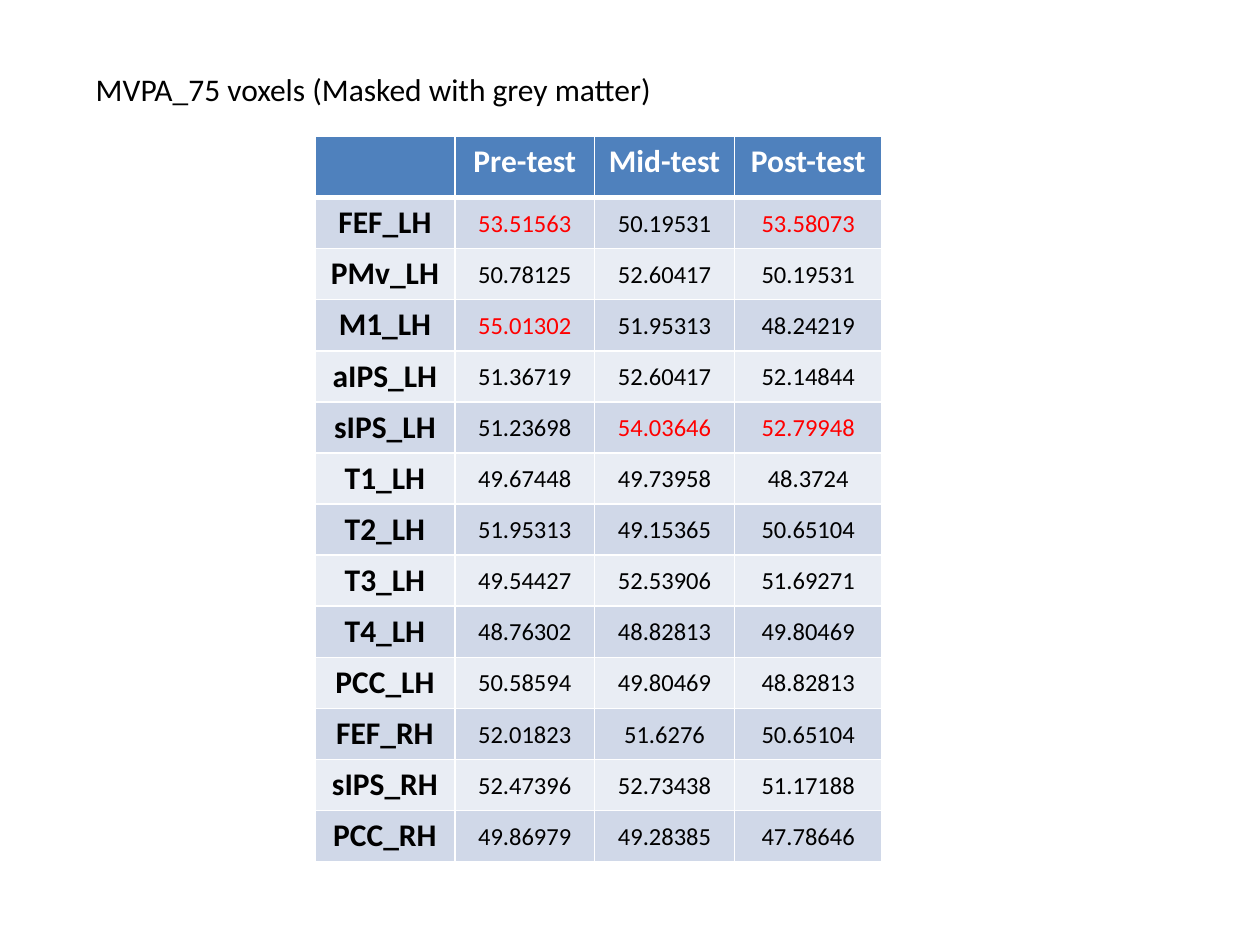
from dataclasses import dataclass

from lxml.etree import SubElement
from pptx import Presentation
from pptx.dml.color import RGBColor
from pptx.enum.text import MSO_ANCHOR as Anchor, PP_ALIGN as Align
from pptx.oxml.ns import qn
from pptx.util import Inches, Pt

WHITE = RGBColor(0xFF, 0xFF, 0xFF)
BLACK = RGBColor(0, 0, 0)
RED = RGBColor(0xFF, 0, 0)
BLUE = RGBColor(0x4F, 0x81, 0xBD)
DARK = RGBColor(0xD0, 0xD8, 0xE8)
LIGHT = RGBColor(0xE9, 0xED, 0xF4)

FONT = "Calibri"
WIDE, HIGH = Inches(10), Inches(7.5)
HIT = 52.75


@dataclass
class Box:
    left: float
    top: float
    width: float
    height: float

    def place(self) -> tuple[int, int, int, int]:
        return (int(self.left * WIDE), int(self.top * HIGH),
                int(self.width * WIDE), int(self.height * HIGH))


@dataclass
class Look:
    size: int
    color: RGBColor
    bold: bool = False


@dataclass
class Region:
    name: str
    scores: tuple[float, float, float]


TITLE = Box(0.066, 0.067, 0.465, 0.053)
TABLE = Box(0.25, 0.144, 0.45, 0.768)
COLS = (0.111, 0.111, 0.111, 0.117)
HEAD = 0.065

TESTS = ("", "Pre-test", "Mid-test", "Post-test")
REGIONS = (
    Region("FEF_LH", (53.51563, 50.19531, 53.58073)),
    Region("PMv_LH", (50.78125, 52.60417, 50.19531)),
    Region("M1_LH", (55.01302, 51.95313, 48.24219)),
    Region("aIPS_LH", (51.36719, 52.60417, 52.14844)),
    Region("sIPS_LH", (51.23698, 54.03646, 52.79948)),
    Region("T1_LH", (49.67448, 49.73958, 48.3724)),
    Region("T2_LH", (51.95313, 49.15365, 50.65104)),
    Region("T3_LH", (49.54427, 52.53906, 51.69271)),
    Region("T4_LH", (48.76302, 48.82813, 49.80469)),
    Region("PCC_LH", (50.58594, 49.80469, 48.82813)),
    Region("FEF_RH", (52.01823, 51.6276, 50.65104)),
    Region("sIPS_RH", (52.47396, 52.73438, 51.17188)),
    Region("PCC_RH", (49.86979, 49.28385, 47.78646)),
)


def write(frame, text: str, look: Look, align: Align) -> None:
    frame.text = text
    para = frame.paragraphs[0]
    para.alignment = align
    for run in para.runs:
        font = run.font
        font.name, font.size, font.bold = FONT, Pt(look.size), look.bold
        font.color.rgb = look.color


def rule(cell, top: int, base: int) -> None:
    props = cell._tc.get_or_add_tcPr()
    for side, width in (("L", 1), ("R", 1), ("T", top), ("B", base)):
        line = SubElement(props, qn(f"a:ln{side}"), w=str(Pt(width)))
        fill = SubElement(line, qn("a:solidFill"))
        SubElement(fill, qn("a:srgbClr"), val=str(WHITE))


def paint(cell, row: int) -> None:
    rule(cell, 3 if row == 1 else 1, 3 if row == 0 else 1)
    cell.fill.solid()
    cell.fill.fore_color.rgb = BLUE if row == 0 else DARK if row % 2 else LIGHT


def label(cell, text: str, row: int) -> None:
    paint(cell, row)
    look = Look(18, BLACK if row else WHITE, True)
    write(cell.text_frame, text, look, Align.CENTER)


def score(cell, value: float, row: int) -> None:
    paint(cell, row)
    cell.vertical_anchor = Anchor.MIDDLE
    cell.margin_left = cell.margin_right = cell.margin_top = Inches(0.01)
    cell.margin_bottom = 0
    look = Look(14, RED if value > HIT else BLACK)
    write(cell.text_frame, str(value), look, Align.CENTER)


def add_title(slide, text: str) -> None:
    title = slide.shapes.title
    title.left, title.top, title.width, title.height = TITLE.place()
    frame = title.text_frame
    write(frame, text, Look(18, BLACK), Align.LEFT)
    frame.word_wrap = False
    frame.vertical_anchor = Anchor.TOP


def add_scores(slide) -> None:
    count = len(REGIONS)
    grid = slide.shapes.add_table(count + 1, len(TESTS), *TABLE.place()).table
    for col, share in zip(grid.columns, COLS):
        col.width = int(share * WIDE)
    for row in grid.rows:
        row.height = int((TABLE.height - HEAD) / count * HIGH)
    grid.rows[0].height = int(HEAD * HIGH)

    for col, test in enumerate(TESTS):
        label(grid.cell(0, col), test, 0)
    for row, region in enumerate(REGIONS, 1):
        label(grid.cell(row, 0), region.name, row)
        for col, value in enumerate(region.scores, 1):
            score(grid.cell(row, col), value, row)


def main() -> None:
    deck = Presentation()
    deck.slide_width, deck.slide_height = WIDE, HIGH
    slide = deck.slides.add_slide(deck.slide_layouts.get_by_name("Title Only"))
    add_title(slide, "MVPA_75 voxels (Masked with grey matter)")
    add_scores(slide)
    deck.save("out.pptx")


if __name__ == "__main__":
    main()
